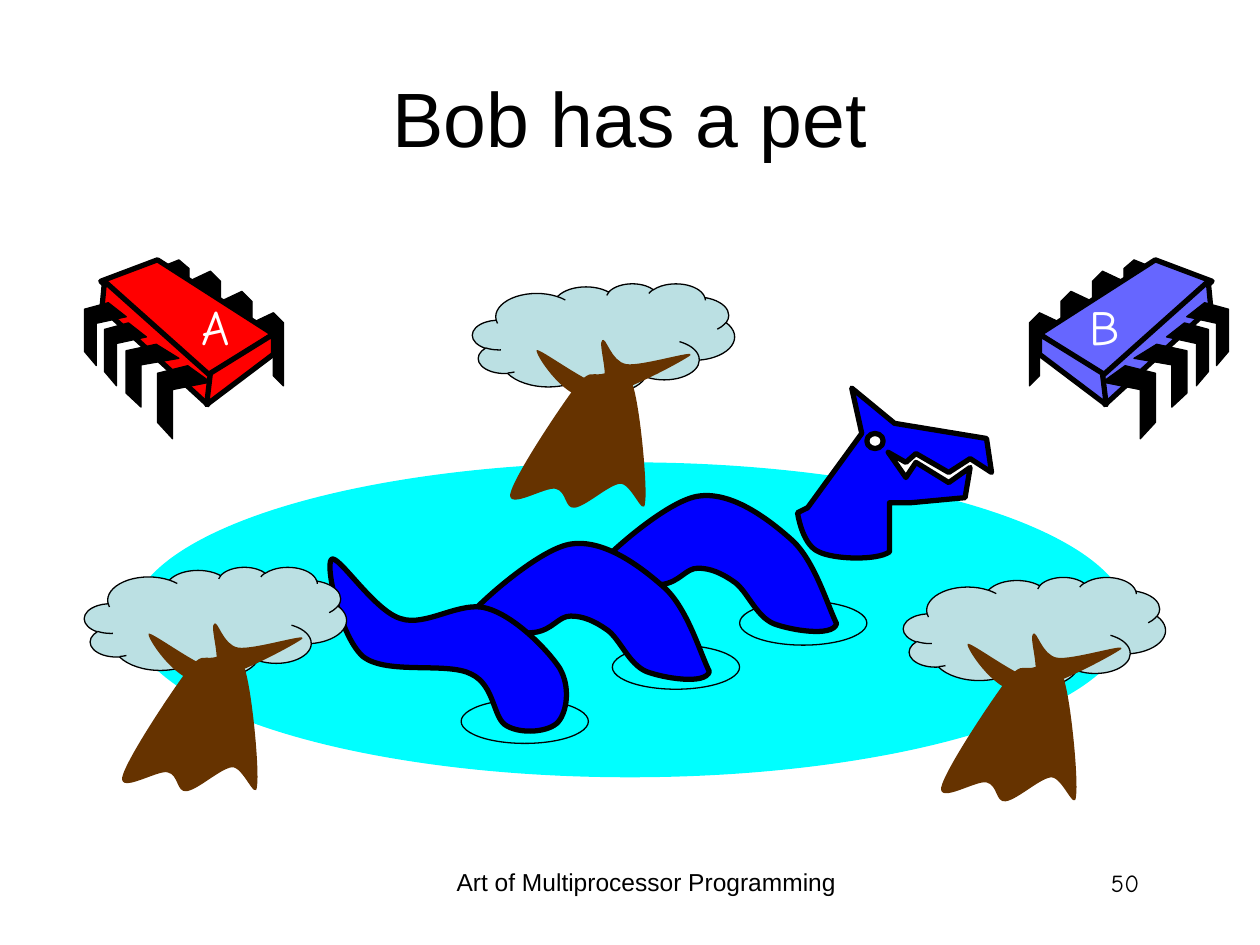
import pptx
import pptx.dml.color
import pptx.enum.shapes
import pptx.enum.text
import pptx.oxml.ns
import pptx.util

ALIGN = pptx.enum.text.PP_ALIGN
SHAPE = pptx.enum.shapes.MSO_SHAPE
# Boxes are (left, top, width, height) on a grid of 100 columns by 100 rows.
COLUMN = pptx.util.Inches(10) / 100
ROW = pptx.util.Inches(7.5) / 100

# Outlines: a pair is a corner, six numbers are a curve (two handles, end).
CHIP_SIZE = (158, 142)
BACK_PIN = [(0, 8), (17, 0), (25, 8), (25, 58), (17, 50), (17, 17), (0, 25)]
BACK_PINS = [(133, 42, 1), (108, 25, 1), (83, 9, 1), (58, 0, 0.86)]
FRONT_PIN = [(24, 0), (42, 13), (12, 19), (12, 58), (0, 45), (0, 6)]
FRONT_PINS = [(58, 84, 1, 1), (33, 67, 1, 0.86),
              (16, 50, 0.79, 0.86), (0, 34, 0.79, 0.86)]
CHIP_FACES = [
    [(58, 0), (150, 59), (98, 93), (13, 17)],
    [(16, 17), (100, 92), (98, 115), (14, 38)],
    [(150, 59), (150, 75), (97, 115), (100, 90)],
]

TREE_SIZE = (208, 188)
TRUNK = [
    (81, 83), (93, 68, 94, 73, 102, 72), (109, 71, 121, 63, 127, 80),
    (133, 97, 139, 161, 137, 174), (136, 187, 126, 158, 117, 159),
    (108, 160, 90, 177, 81, 178), (73, 179, 75, 165, 66, 163),
    (58, 161, 28, 180, 30, 167), (33, 153, 69, 99, 81, 83),
]
BRANCHES = [
    (51, 53), (49, 55, 71, 90, 91, 91), (112, 92, 168, 61, 173, 57),
    (178, 52, 134, 66, 122, 64), (110, 62, 106, 42, 103, 45),
    (99, 47, 110, 78, 102, 80), (93, 81, 53, 51, 51, 53),
]

PET_SIZE = (530, 282)
HUMP = [
    (203, 106), (200, 117, 166, 111, 153, 106), (139, 100, 132, 80, 122, 73),
    (112, 66, 103, 62, 93, 62), (83, 62, 79, 73, 64, 75),
    (50, 76, 0, 83, 5, 71), (10, 60, 65, 10, 92, 5),
    (119, 0, 149, 23, 168, 40), (186, 57, 196, 92, 203, 106),
]
HEAD = [
    (8, 95), (51, 36), (43, 0), (77, 28), (150, 40), (154, 67), (137, 56),
    (120, 67), (94, 52), (86, 59), (72, 51), (86, 71), (94, 59), (120, 75),
    (137, 63), (133, 87), (90, 91), (73, 91), (73, 130),
    (63, 137, 29, 136, 17, 130), (5, 125, 1, 105, 0, 99),
]
TAIL = [
    (5, 5), (10, 0, 39, 46, 60, 52), (80, 59, 108, 37, 129, 44),
    (150, 50, 176, 76, 186, 91), (195, 106, 192, 126, 185, 134),
    (178, 142, 156, 144, 144, 137), (133, 131, 135, 105, 116, 96),
    (97, 86, 49, 97, 30, 82), (12, 66, 0, 10, 5, 5),
]


def color(value):
    return pptx.dml.color.RGBColor.from_string(value)


def lengths(box):
    left, top, width, height = box
    return [round(part) for part in
            (left * COLUMN, top * ROW, width * COLUMN, height * ROW)]


def inner_box(box, size, part):
    """Turn a part given in a drawing's own units into a grid box."""
    across, down = box[2] / size[0], box[3] / size[1]
    left, top, width, height = part
    return (box[0] + left * across, box[1] + top * down,
            width * across, height * down)


def placed(outline, left, top, across=1, down=1):
    return [tuple(left + value * across if index % 2 == 0
                  else top + value * down
                  for index, value in enumerate(step)) for step in outline]


def bend(shape, outline):
    """Join the three line segments of each curve step into one Bézier curve."""
    contour = next(shape.element.iter(pptx.oxml.ns.qn("a:path")))
    segments = iter(contour.findall(pptx.oxml.ns.qn("a:lnTo")))
    for step in outline[1:]:
        segment = next(segments)
        if len(step) == 2:
            continue
        curve = contour.makeelement(pptx.oxml.ns.qn("a:cubicBezTo"))
        segment.addprevious(curve)
        for piece in (segment, next(segments), next(segments)):
            curve.append(piece[0])
            contour.remove(piece)


def paint(shape, fill=None, line_width=None):
    shape.shadow.inherit = False
    if fill:
        shape.fill.solid()
        shape.fill.fore_color.rgb = color(fill)
    else:
        shape.fill.background()
    if line_width:
        shape.line.color.rgb = color("000000")
        shape.line.width = pptx.util.Pt(line_width)
    else:
        shape.line.fill.background()


def add_preset(shapes, kind, box, fill=None, line_width=None):
    shape = shapes.add_shape(kind, *lengths(box))
    paint(shape, fill, line_width)
    return shape


def add_outline(shapes, box, size, outline, fill, line_width=None, mirrored=False):
    left, top, width, height = lengths(box)
    points = []
    for step in outline:
        for x, y in zip(step[::2], step[1::2]):
            share = 1 - x / size[0] if mirrored else x / size[0]
            points.append((left + share * width, top + y / size[1] * height))
    builder = shapes.build_freeform(*points[0], scale=1.0)
    builder.add_line_segments(points[1:], close=True)
    shape = builder.convert_to_shape()
    bend(shape, outline)
    paint(shape, fill, line_width)


def write(frame, text, size, font, fill, alignment):
    paragraph = frame.paragraphs[0]
    paragraph.alignment = alignment
    run = paragraph.add_run()
    run.text = text
    run.font.size = pptx.util.Pt(size)
    run.font.name = font
    run.font.color.rgb = color(fill)


def add_text(shapes, box, text, size, font, fill, alignment, wrap=True):
    frame = shapes.add_textbox(*lengths(box)).text_frame
    frame.word_wrap = wrap
    write(frame, text, size, font, fill, alignment)


def add_title(slide, box, text):
    title = slide.shapes.title
    title.left, title.top, title.width, title.height = lengths(box)
    title.text_frame.vertical_anchor = pptx.enum.text.MSO_ANCHOR.MIDDLE
    write(title.text_frame, text, 44, "Arial", "000000", ALIGN.CENTER)


def add_chip(slide, box, fill, letter, letter_part, mirrored=False):
    shapes = slide.shapes.add_group_shape().shapes
    back = [placed(BACK_PIN, left, top, 1, down) for left, top, down in BACK_PINS]
    front = [placed(FRONT_PIN, *place) for place in FRONT_PINS]
    for outlines, face, line_width in (
            (back, "000000", 0.75), (CHIP_FACES, fill, 3), (front, "000000", 0.75)):
        for outline in outlines:
            add_outline(shapes, box, CHIP_SIZE, outline, face, line_width, mirrored)
    add_text(slide.shapes, inner_box(box, CHIP_SIZE, letter_part), letter,
             28, "Comic Neue", "FFFFFF", ALIGN.RIGHT, wrap=False)


def add_pet(slide, box):
    shapes = slide.shapes
    for left, top in ((228, 204), (108, 247), (329, 169)):  # ripples
        ripple = inner_box(box, PET_SIZE, (left, top, 101, 35))
        add_preset(shapes, SHAPE.OVAL, ripple, None, 0.75)
    for outline, left, top in ((HUMP, 203, 81), (HUMP, 102, 119),
                               (HEAD, 375, 0), (TAIL, 0, 131)):
        add_outline(shapes, box, PET_SIZE, placed(outline, left, top), "0000FF", 3)
    eye = inner_box(box, PET_SIZE, (430, 36, 13, 12))
    add_preset(shapes, SHAPE.OVAL, eye, "FFFFFF", 3)


def add_tree(slide, box):
    shapes = slide.shapes.add_group_shape().shapes
    crown = add_preset(shapes, SHAPE.CLOUD_CALLOUT,
                       inner_box(box, TREE_SIZE, (0, 0, 208, 87)), "BBE0E3", 0.75)
    crown.adjustments[0], crown.adjustments[1] = 0.018, 0.493
    for outline in (TRUNK, BRANCHES):
        add_outline(shapes, box, TREE_SIZE, outline, "663300")


def main():
    presentation = pptx.Presentation()
    presentation.slide_width = pptx.util.Inches(10)
    presentation.slide_height = pptx.util.Inches(7.5)
    slide = presentation.slides.add_slide(presentation.slide_layouts[5])
    add_title(slide, (5, 4, 90, 16.67), "Bob has a pet")
    # Chips, lake, pet and trees
    add_chip(slide, (6.7, 27.5, 15.8, 18.93), "FF0000", "A", (76, 24, 49, 57))
    add_chip(slide, (81.7, 27.5, 15.8, 18.93), "6666FF", "B", (37, 24, 45, 57), True)
    add_preset(slide.shapes, SHAPE.OVAL, (10.4, 48.93, 79.2, 33.33), "00FFFF")
    add_pet(slide, (25.8, 41.07, 53, 37.6))
    for left, top in ((37.5, 30), (71.7, 61.07), (6.7, 60)):
        add_tree(slide, (left, top, 20.8, 25.07))
    # Footer and slide number
    add_text(slide.shapes, (34.2, 91.07, 34.2, 6.93),
             "Art of Multiprocessor Programming", 14, "Arial", "000000", ALIGN.CENTER)
    add_text(slide.shapes, (70.6, 91.2, 20.8, 6.67),
             "50", 14, "Comic Neue", "000000", ALIGN.RIGHT)
    presentation.save("out.pptx")


if __name__ == "__main__":
    main()
